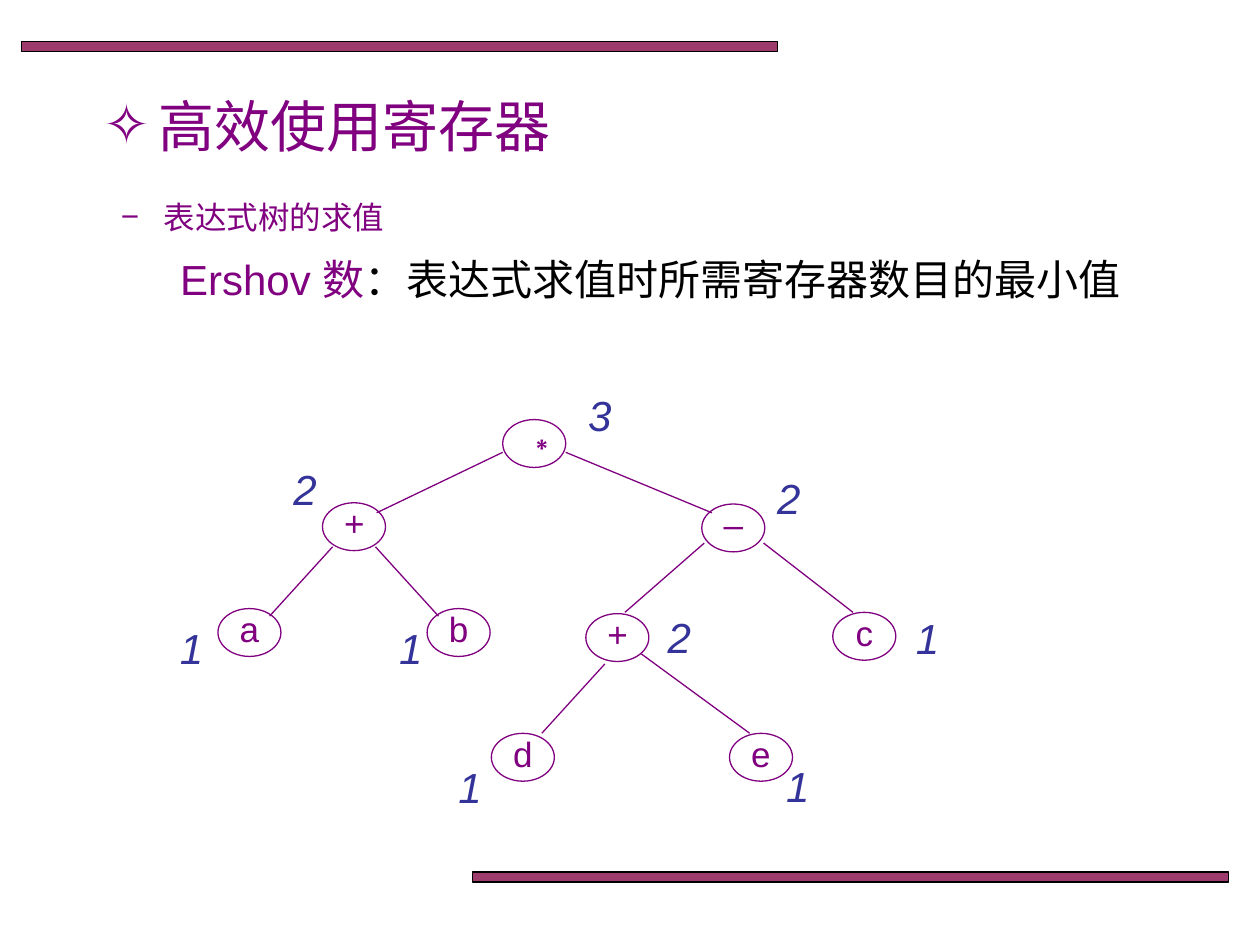
"""Build a slide showing Ershov numbers on an expression tree."""
from dataclasses import dataclass

from lxml.etree import SubElement
from pptx import Presentation
from pptx.dml.color import RGBColor
from pptx.enum.shapes import MSO_CONNECTOR, MSO_SHAPE
from pptx.enum.text import MSO_ANCHOR, MSO_AUTO_SIZE, PP_ALIGN
from pptx.oxml.ns import qn
from pptx.util import Inches, Pt


@dataclass(frozen=True)
class Theme:
    """Colours, type sizes and line width of the slide."""
    font: str = "Arial"
    purple: str = "800080"
    blue: str = "333399"
    black: str = "000000"
    bar: str = "993366"
    title: int = 32
    topic: int = 18
    definition: int = 24
    node: int = 20
    number: int = 24
    line: float = 0.75


@dataclass(frozen=True)
class Item:
    """A text with its left and top position in inches."""
    text: str
    left: float
    top: float


@dataclass(frozen=True)
class Edge:
    """A tree edge from a parent to a child, in inches."""
    start: tuple[float, float]
    end: tuple[float, float]


THEME = Theme()
NODE_SIZE = (0.5, 0.38)
NUMBER_SIZE = (0.39, 0.32)
BAR_SIZE = (6, 0.08)
BARS = [(0.17, 0.33), (3.75, 6.92)]
NODES = [
    Item("∗", 3.99, 3.33), Item("+", 2.56, 3.99), Item("–", 5.57, 4),
    Item("a", 1.73, 4.83), Item("b", 3.39, 4.83), Item("+", 4.65, 4.87),
    Item("c", 6.61, 4.86), Item("d", 3.9, 5.82), Item("e", 5.79, 5.82),
]
NUMBERS = [
    Item("3", 4.57, 3.17), Item("2", 2.23, 3.76), Item("2", 6.07, 3.83),
    Item("1", 1.33, 5.02), Item("1", 3.07, 5.02), Item("2", 5.2, 4.93),
    Item("1", 7.17, 4.94), Item("1", 3.54, 6.12), Item("1", 6.14, 6.11),
]
EDGES = [
    Edge((3.99, 3.59), (2.99, 4.07)), Edge((4.49, 3.59), (5.65, 4.07)),
    Edge((2.64, 4.34), (2.14, 4.89)), Edge((2.98, 4.34), (3.48, 4.89)),
    Edge((5.59, 4.31), (4.96, 4.86)), Edge((6.06, 4.31), (6.77, 4.86)),
    Edge((4.8, 5.27), (4.3, 5.82)), Edge((5.09, 5.19), (5.95, 5.82)),
]


def apply_format(target, values: dict) -> None:
    """Set each named attribute on the target."""
    for name, value in values.items():
        setattr(target, name, value)


def add_run(paragraph, text: str, size: int, color: str, italic: bool = False) -> None:
    """Append a formatted run to the paragraph."""
    run = paragraph.add_run()
    run.text = text
    apply_format(run.font, {"name": THEME.font, "size": Pt(size), "bold": False, "italic": italic})
    run.font.color.rgb = RGBColor.from_string(color)


def set_bullet(paragraph, margin: float, indent: float = 0, bullet: str = "") -> None:
    """Set the paragraph's margin, indent and bullet character."""
    properties = paragraph._p.get_or_add_pPr()
    properties.set("marL", str(Inches(margin)))
    properties.set("indent", str(Inches(indent)))
    if bullet:
        color = SubElement(properties, qn("a:buClr"))
        SubElement(color, qn("a:srgbClr"), val=THEME.purple)
        SubElement(properties, qn("a:buFont"), typeface=THEME.font)
        SubElement(properties, qn("a:buChar"), char=bullet)
    else:
        SubElement(properties, qn("a:buNone"))


def place(shape, left: float, top: float, width: float, height: float, anchor) -> None:
    """Move a placeholder and fix its text frame."""
    apply_format(shape, {"left": Inches(left), "top": Inches(top),
                         "width": Inches(width), "height": Inches(height)})
    apply_format(shape.text_frame, {"auto_size": MSO_AUTO_SIZE.NONE, "word_wrap": True,
                                    "vertical_anchor": anchor})


def write_item(shape, item: Item, size: int, color: str, alignment, anchor, italic: bool) -> None:
    """Write one tree text into a shape."""
    frame = shape.text_frame
    apply_format(frame, {"margin_top": 0, "margin_bottom": 0, "word_wrap": True,
                         "vertical_anchor": anchor})
    paragraph = frame.paragraphs[0]
    apply_format(paragraph, {"alignment": alignment, "line_spacing": 0.8})
    add_run(paragraph, item.text, size, color, italic)


def add_bar(slide, left: float, top: float) -> None:
    """Draw a decorative bar."""
    bar = slide.shapes.add_shape(MSO_SHAPE.RECTANGLE, *map(Inches, (left, top, *BAR_SIZE)))
    bar.shadow.inherit = False
    bar.fill.solid()
    bar.fill.fore_color.rgb = RGBColor.from_string(THEME.bar)
    color = bar._element.spPr.find(qn("a:solidFill")).find(qn("a:srgbClr"))
    SubElement(color, qn("a:alpha"), val="96000")
    bar.line.color.rgb = RGBColor.from_string(THEME.black)
    bar.line.width = Pt(THEME.line)


def add_node(slide, item: Item) -> None:
    """Draw a tree node."""
    node = slide.shapes.add_shape(MSO_SHAPE.OVAL, *map(Inches, (item.left, item.top, *NODE_SIZE)))
    node.shadow.inherit = False
    node.fill.background()
    node.line.color.rgb = RGBColor.from_string(THEME.purple)
    node.line.width = Pt(THEME.line)
    write_item(node, item, THEME.node, THEME.purple, PP_ALIGN.CENTER, MSO_ANCHOR.MIDDLE, False)


def add_number(slide, item: Item) -> None:
    """Write an Ershov number beside its node."""
    box = slide.shapes.add_textbox(*map(Inches, (item.left, item.top, *NUMBER_SIZE)))
    write_item(box, item, THEME.number, THEME.blue, PP_ALIGN.LEFT, MSO_ANCHOR.TOP, True)


def add_edge(slide, edge: Edge) -> None:
    """Draw a tree edge."""
    line = slide.shapes.add_connector(MSO_CONNECTOR.STRAIGHT, *map(Inches, (*edge.start, *edge.end)))
    line.line.color.rgb = RGBColor.from_string(THEME.purple)
    line.line.width = Pt(THEME.line)
    SubElement(line._element.spPr, qn("a:effectLst"))


def write_heading(slide) -> None:
    """Fill the title and body placeholders."""
    title, body = slide.shapes.title, slide.placeholders[1]
    place(title, 0.53, 0.67, 4.09, 0.64, MSO_ANCHOR.MIDDLE)
    heading = title.text_frame.paragraphs[0]
    heading.alignment = PP_ALIGN.LEFT
    set_bullet(heading, 0.63, -0.44, "✧")
    add_run(heading, "高效使用寄存器", THEME.title, THEME.purple)

    place(body, 0.86, 1.52, 8.51, 1.08, MSO_ANCHOR.TOP)
    topic = body.text_frame.paragraphs[0]
    topic.space_before = Pt(0)
    set_bullet(topic, 0.34, -0.34, "−")
    add_run(topic, "表达式树的求值", THEME.topic, THEME.purple)
    definition = body.text_frame.add_paragraph()
    definition.space_before = Pt(10)
    set_bullet(definition, 0.47)
    add_run(definition, "Ershov 数", THEME.definition, THEME.purple)
    add_run(definition, "：表达式求值时所需寄存器数目的最小值", THEME.definition, THEME.black)


def main() -> None:
    """Build and save the presentation."""
    presentation = Presentation()
    presentation.slide_width, presentation.slide_height = Inches(10), Inches(7.5)
    slide = presentation.slides.add_slide(presentation.slide_layouts[1])
    for left, top in BARS:
        add_bar(slide, left, top)
    write_heading(slide)
    for draw, elements in ((add_node, NODES), (add_edge, EDGES), (add_number, NUMBERS)):
        for element in elements:
            draw(slide, element)
    presentation.save("out.pptx")


if __name__ == "__main__":
    main()
